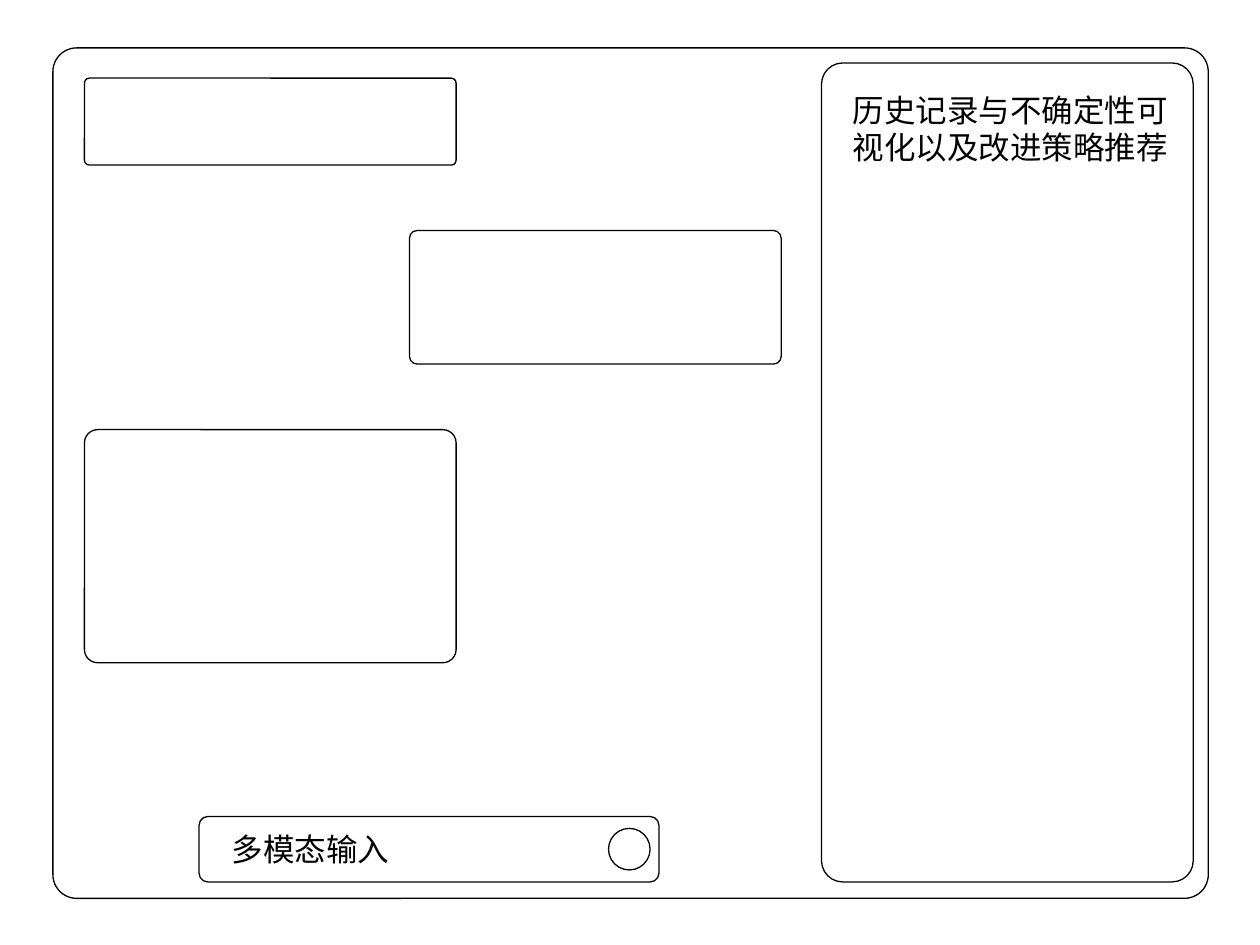
from pptx import Presentation
from pptx.dml.color import RGBColor
from pptx.enum import shapes, text
from pptx.util import Inches, Pt

BLACK = RGBColor(0x00, 0x00, 0x00)
FONT = "Arial"
BUBBLE_WIDTH = 2.95
PANEL_ROUNDING = 0.057


def add_outline(slide, left, top, width, height, rounding=None):
    kind = shapes.MSO_SHAPE.OVAL if rounding is None else shapes.MSO_SHAPE.ROUNDED_RECTANGLE
    shape = slide.shapes.add_shape(
        kind, Inches(left), Inches(top), Inches(width), Inches(height))
    if rounding is not None:
        shape.adjustments[0] = rounding
    shape.fill.background()
    shape.line.color.rgb = BLACK
    shape.line.width = Pt(0.75)
    shape.shadow.inherit = False
    return shape


def add_label(slide, content, left, top, width, height, size=18, color=BLACK):
    box = slide.shapes.add_textbox(
        Inches(left), Inches(top), Inches(width), Inches(height))
    frame = box.text_frame
    frame.word_wrap = True
    frame.auto_size = text.MSO_AUTO_SIZE.SHAPE_TO_FIT_TEXT
    run = frame.paragraphs[0].add_run()
    run.text = content
    run.font.name = FONT
    run.font.size = Pt(size)
    run.font.color.rgb = color
    return box


def add_history_panel(slide, left, top, width, height):
    add_outline(slide, left, top, width, height, PANEL_ROUNDING)
    add_label(slide, "历史记录与不确定性可视化以及改进策略推荐",
              left + 0.15, top + 0.17, width - 0.09, 0.71)


def add_input_bar(slide, left, top, width, height):
    button = 0.33
    add_outline(slide, left, top, width, height, 0.136)
    add_outline(slide, left + width - button - 0.07, top + (height - button) / 2,
                button, button)
    add_label(slide, "多模态输入", left + 0.16, top + 0.06, width - 0.32, 0.4)


def add_conversation(slide, left, top, width):
    right = left + width - BUBBLE_WIDTH
    gap = 0.52
    for bubble_left, height in ((left, 0.69), (right, 1.06), (left, 1.85)):
        add_outline(slide, bubble_left, top, BUBBLE_WIDTH, height, PANEL_ROUNDING)
        top += height + gap


def add_interface(slide, left, top, width, height):
    add_outline(slide, left, top, width, height, 0.028)
    add_history_panel(slide, left + 6.1, top + 0.12, BUBBLE_WIDTH, height - 0.25)
    add_input_bar(slide, left + 1.16, top + 6.1, 3.65, 0.52)
    add_conversation(slide, left + 0.25, top + 0.24, 5.53)


def main():
    presentation = Presentation()
    presentation.slide_width = Inches(10)
    presentation.slide_height = Inches(7.5)
    slide = presentation.slides.add_slide(presentation.slide_layouts[6])
    add_interface(slide, 0.42, 0.38, 9.17, 6.75)
    presentation.save("out.pptx")


if __name__ == "__main__":
    main()
